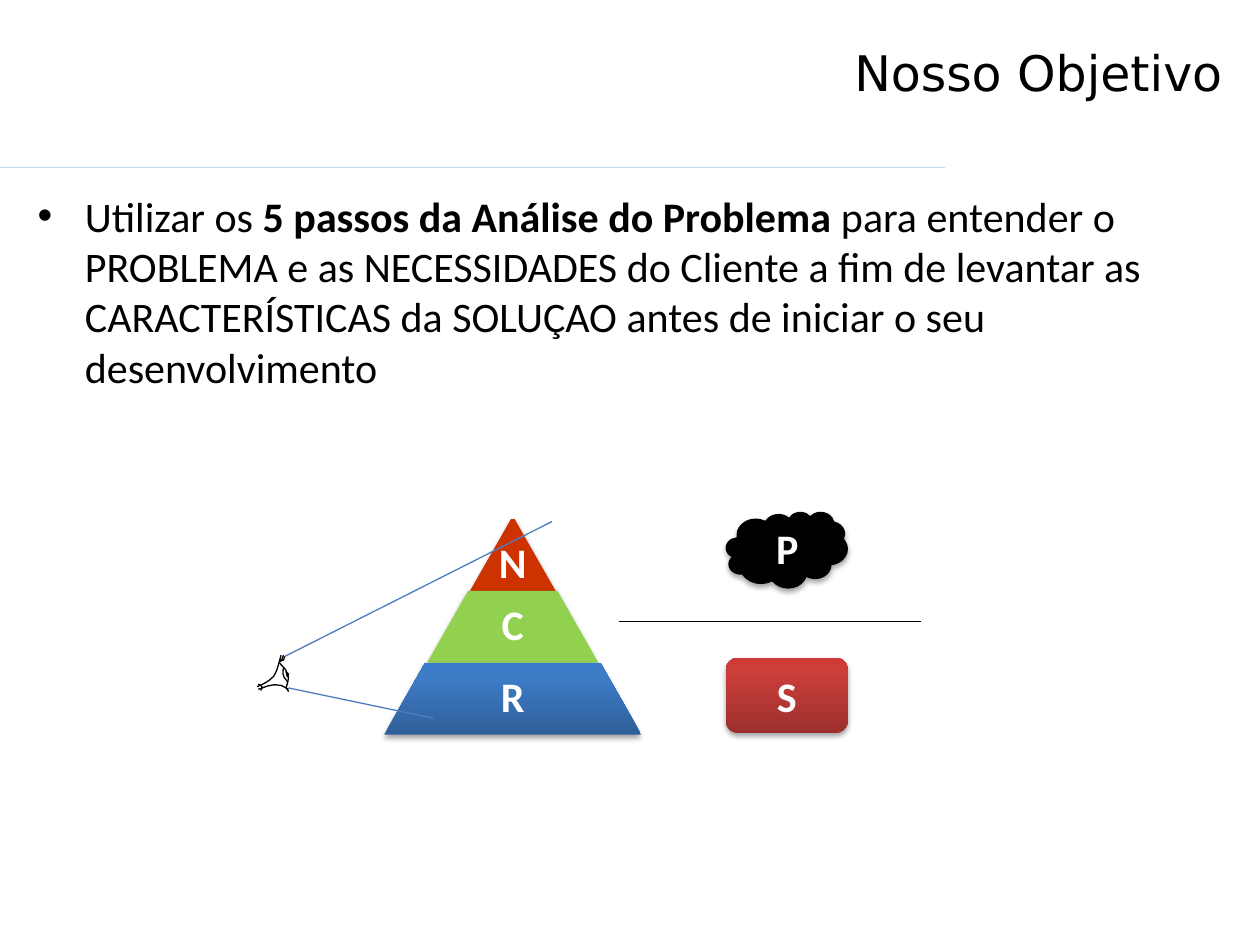
from copy import deepcopy

from lxml import etree
from pptx import Presentation
from pptx.dml.color import RGBColor
from pptx.enum.shapes import MSO_CONNECTOR, MSO_SHAPE
from pptx.enum.text import MSO_ANCHOR, PP_ALIGN
from pptx.oxml import parse_xml
from pptx.oxml.ns import nsdecls, qn
from pptx.util import Inches, Pt

BLACK = RGBColor(0x00, 0x00, 0x00)
WHITE = RGBColor(0xFF, 0xFF, 0xFF)
RULE_BLUE = RGBColor(0xC4, 0xD6, 0xEB)
SIGHT_BLUE = RGBColor(0x4B, 0x7E, 0xBC)
RED = RGBColor(0xCC, 0x33, 0x00)
GREEN = RGBColor(0x92, 0xD0, 0x50)
BLUE_STOPS = [(0, RGBColor(0x2F, 0x5F, 0x99)), (0.8, RGBColor(0x3D, 0x7C, 0xC7)),
              (1, RGBColor(0x3A, 0x7C, 0xCB))]
RED_STOPS = [(0, RGBColor(0x9C, 0x2F, 0x2D)), (0.8, RGBColor(0xCB, 0x3E, 0x3A)),
             (1, RGBColor(0xCE, 0x3B, 0x37))]

BODY_RUNS = [
    ("Utilizar os", False),
    (" 5 passos da Análise do Problema", True),
    (" para entender o PROBLEMA e as NECESSIDADES do Cliente a fim de levantar as "
     "CARACTERÍSTICAS da SOLUÇAO antes de iniciar o seu desenvolvimento", False),
]

# Each stroke: start point, then Bezier segments (two controls and an end).
EYE_STROKES = [
    [(2.23, 5.2), (2.21, 5.27), (2.2, 5.33), (2.17, 5.37),
     (2.13, 5.41), (2.09, 5.43), (2.04, 5.45)],
    [(2.29, 5.47), (2.28, 5.47), (2.26, 5.45), (2.23, 5.44),
     (2.21, 5.44), (2.18, 5.43), (2.15, 5.44), (2.12, 5.44), (2.07, 5.47), (2.05, 5.47)],
    [(2.22, 5.26), (2.22, 5.27), (2.25, 5.29), (2.27, 5.32),
     (2.28, 5.34), (2.28, 5.36), (2.29, 5.38), (2.29, 5.4), (2.28, 5.42), (2.28, 5.43),
     (2.28, 5.44), (2.28, 5.45), (2.27, 5.46)],
    [(2.25, 5.3), (2.25, 5.31), (2.24, 5.35), (2.25, 5.36),
     (2.25, 5.38), (2.28, 5.4), (2.28, 5.41)],
    [(2.07, 5.48), (2.07, 5.48), (2.08, 5.46), (2.08, 5.45),
     (2.07, 5.44), (2.06, 5.43), (2.05, 5.43)],
    [(2.22, 5.25), (2.22, 5.25), (2.23, 5.24), (2.24, 5.23),
     (2.24, 5.22), (2.25, 5.21), (2.25, 5.2)],
    [(2.22, 5.25), (2.22, 5.25), (2.24, 5.24), (2.25, 5.24),
     (2.25, 5.23), (2.26, 5.22), (2.26, 5.21)],
    [(2.27, 5.46), (2.27, 5.46), (2.28, 5.47), (2.28, 5.47),
     (2.29, 5.48), (2.29, 5.48), (2.29, 5.49)],
]
PUPIL = [(2.27, 5.33), (2.27, 5.35), (2.27, 5.35), (2.28, 5.37),
         (2.28, 5.38), (2.28, 5.37), (2.29, 5.35), (2.28, 5.34), (2.28, 5.34), (2.27, 5.33)]


def add_run(paragraph, text, size=24, color=BLACK, bold=False, font="Calibri"):
    run = paragraph.add_run()
    run.text = text
    run.font.size, run.font.bold, run.font.name = Pt(size), bold, font
    run.font.color.rgb = color


def add_letter(frame, letter, anchor=MSO_ANCHOR.MIDDLE):
    frame.vertical_anchor = anchor
    paragraph = frame.paragraphs[0]
    paragraph.alignment = PP_ALIGN.CENTER
    add_run(paragraph, letter, color=WHITE, bold=True)
    return paragraph


def add_line(slide, start, end, color):
    line = slide.shapes.add_connector(
        MSO_CONNECTOR.STRAIGHT, *(Inches(v) for v in (*start, *end)))
    line.line.color.rgb = color
    line.line.width = Pt(0.75)
    etree.SubElement(line._element.spPr, qn("a:effectLst"))


def fill_gradient(fill, stops):
    """Fill upwards through any number of (position, colour) stops."""
    fill.gradient()
    fill.gradient_angle = 90
    stop_list = fill._xPr.find(qn("a:gradFill")).find(qn("a:gsLst"))
    while len(stop_list) < len(stops):
        stop_list.append(deepcopy(stop_list[0]))
    for stop, (position, color) in zip(fill.gradient_stops, stops):
        stop.position = position
        stop.color.rgb = color


def add_shadowed_shape(slide, preset, box, fill):
    """Add a borderless shape; fill is a colour or a list of gradient stops."""
    shape = slide.shapes.add_shape(preset, *(Inches(v) for v in box))
    if isinstance(fill, list):
        fill_gradient(shape.fill, fill)
    else:
        shape.fill.solid()
        shape.fill.fore_color.rgb = fill
    shape.line.fill.background()
    shape.shadow.inherit = False
    shape._element.spPr.find(qn("a:effectLst")).append(parse_xml(
        f'<a:outerShdw {nsdecls("a")} blurRad="{Pt(3.1)}" dist="{Pt(1.8)}" dir="5400000" '
        'rotWithShape="0"><a:srgbClr val="000000"><a:alpha val="35000"/></a:srgbClr>'
        '</a:outerShdw>'))
    return shape


def add_pyramid(slide):
    center, top, height, step = 4.07, 4.12, 0.57, 0.68
    levels = [("N", RED, 0.68, MSO_ANCHOR.BOTTOM), ("C", GREEN, 0.88, MSO_ANCHOR.MIDDLE),
              ("R", BLUE_STOPS, 1.32, MSO_ANCHOR.MIDDLE)]
    for index, (letter, fill, text_width, anchor) in enumerate(levels):
        width = step * (index + 1)
        y = top + index * height
        level = add_shadowed_shape(
            slide, MSO_SHAPE.TRAPEZOID, (center - width / 2, y, width, height), fill)
        level.adjustments[0] = 0.57
        label = slide.shapes.add_textbox(
            Inches(center - text_width / 2), Inches(y), Inches(text_width), Inches(height))
        frame = label.text_frame
        frame.word_wrap = True
        frame.margin_left = frame.margin_right = Inches(0.03)
        frame.margin_top = frame.margin_bottom = Inches(0.03)
        add_letter(frame, letter, anchor).line_spacing = 0.9


def add_problem_and_solution(slide):
    problem = add_shadowed_shape(slide, MSO_SHAPE.CLOUD, (5.76, 4.06, 0.97, 0.61), BLACK)
    add_letter(problem.text_frame, " P")
    add_line(slide, (4.91, 4.93), (7.31, 4.93), BLACK)
    solution = add_shadowed_shape(
        slide, MSO_SHAPE.ROUNDED_RECTANGLE, (5.76, 5.22, 0.97, 0.6), RED_STOPS)
    add_letter(solution.text_frame, "S")


def curve_segments(shape):
    """Turn every three straight segments into one cubic Bezier segment."""
    segments = list(shape._element.spPr.iter(qn("a:lnTo")))
    for i in range(0, len(segments), 3):
        curve = etree.Element(qn("a:cubicBezTo"))
        segments[i].addprevious(curve)
        for segment in segments[i:i + 3]:
            curve.append(segment[0])
            segment.getparent().remove(segment)


def add_stroke(slide, stroke, filled=False):
    start, *rest = [(Inches(x), Inches(y)) for x, y in stroke]
    builder = slide.shapes.build_freeform(*start)
    builder.add_line_segments(rest, close=filled)
    shape = builder.convert_to_shape()
    curve_segments(shape)
    shape.shadow.inherit = False
    shape.line.color.rgb = BLACK
    shape.line.width = Pt(0.75)
    if filled:
        shape.fill.solid()
        shape.fill.fore_color.rgb = BLACK
    else:
        shape.fill.background()


def add_eye(slide):
    for stroke in EYE_STROKES:
        add_stroke(slide, stroke)
    add_stroke(slide, PUPIL, filled=True)
    add_line(slide, (2.26, 5.21), (4.38, 4.14), SIGHT_BLUE)
    add_line(slide, (2.29, 5.46), (3.44, 5.7), SIGHT_BLUE)


def set_title(slide, text):
    title = slide.shapes.title
    title.left, title.top, title.width, title.height = (
        Inches(v) for v in (0.18, 0.29, 9.62, 1.01))
    title.text_frame.vertical_anchor = MSO_ANCHOR.TOP
    paragraph = title.text_frame.paragraphs[0]
    paragraph.alignment = PP_ALIGN.RIGHT
    add_run(paragraph, text, size=28, font="DejaVu Sans")


def add_body(slide):
    body = slide.shapes.add_textbox(*(Inches(v) for v in (0.2, 1.46, 9.61, 5.2)))
    body.text_frame.word_wrap = True
    paragraph = body.text_frame.paragraphs[0]
    properties = paragraph._p.get_or_add_pPr()
    properties.set("marL", str(Pt(27)))
    properties.set("indent", str(Pt(-27)))
    etree.SubElement(properties, qn("a:buFont"), typeface="Arial")
    etree.SubElement(properties, qn("a:buChar"), char="•")
    for text, bold in BODY_RUNS:
        add_run(paragraph, text, bold=bold)


def main():
    presentation = Presentation()
    presentation.slide_width, presentation.slide_height = Inches(10), Inches(7.5)
    slide = presentation.slides.add_slide(presentation.slide_layouts[5])
    add_line(slide, (0, 1.33), (7.5, 1.33), RULE_BLUE)
    add_pyramid(slide)
    add_problem_and_solution(slide)
    add_eye(slide)
    set_title(slide, "Nosso Objetivo")
    add_body(slide)
    presentation.save("out.pptx")


if __name__ == "__main__":
    main()
